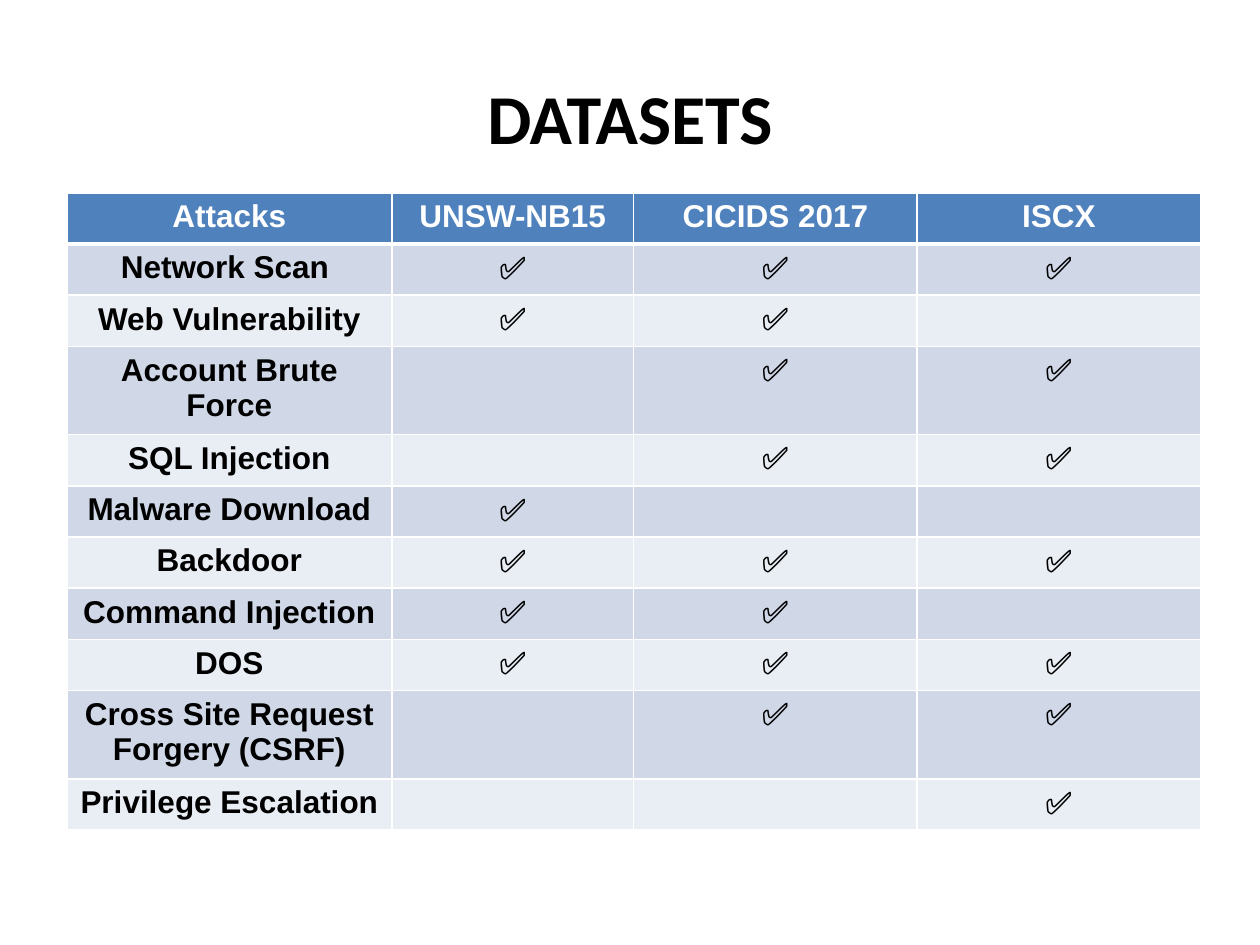
from lxml import etree
from pptx import Presentation
from pptx.dml.color import RGBColor
from pptx.enum.text import MSO_ANCHOR, PP_ALIGN
from pptx.oxml.ns import qn
from pptx.util import Inches, Pt

CENTER = PP_ALIGN.CENTER
MIDDLE = MSO_ANCHOR.MIDDLE

COLORS = {
    "header": "4F81BD",
    "dark_band": "D0D8E8",
    "light_band": "E9EDF4",
    "white": "FFFFFF",
    "black": "000000",
}
CHECK = "✅"
COLUMN_WIDTHS = (2.58, 1.92, 2.25, 2.25)
HEADERS = ("Attacks", "UNSW-NB15", "CICIDS 2017", "ISCX")
ATTACKS = (
    ("Network Scan ", (1, 1, 1)),
    ("Web Vulnerability", (1, 1, 0)),
    ("Account Brute Force", (0, 1, 1)),
    ("SQL Injection", (0, 1, 1)),
    ("Malware Download", (1, 0, 0)),
    ("Backdoor", (1, 1, 1)),
    ("Command Injection", (1, 1, 0)),
    ("DOS", (1, 1, 1)),
    ("Cross Site Request Forgery (CSRF)", (0, 1, 1)),
    ("Privilege Escalation", (0, 0, 1)),
)


def rgb(name):
    return RGBColor.from_string(COLORS[name])


def write_text(text_frame, text, size, font, color):
    text_frame.text = text
    para = text_frame.paragraphs[0]
    para.alignment = CENTER
    para.font.size = Pt(size)
    for span in para.runs:
        span.font.name = font
        span.font.size = Pt(size)
        span.font.bold = True
        span.font.color.rgb = rgb(color)


def add_title(page, text):
    box = page.shapes.add_textbox(Inches(0.5), Inches(0.3), Inches(9), Inches(1.25))
    box.text_frame.word_wrap = True
    box.text_frame.vertical_anchor = MIDDLE
    write_text(box.text_frame, text, 40, "Calibri", "black")


def add_borders(cell, top, bottom):
    properties = cell._tc.get_or_add_tcPr()
    for side, width in (("L", 1), ("R", 1), ("T", top), ("B", bottom)):
        line = etree.SubElement(properties, qn(f"a:ln{side}"), w=str(Pt(width)))
        fill = etree.SubElement(line, qn("a:solidFill"))
        etree.SubElement(fill, qn("a:srgbClr"), val=COLORS["white"])


def style_cell(cell, row):
    add_borders(cell, 3 if row == 1 else 1, 3 if row == 0 else 1)
    band = "dark_band" if row % 2 else "light_band"
    cell.fill.solid()
    cell.fill.fore_color.rgb = rgb("header" if row == 0 else band)


def add_dataset_table(page):
    rows = [HEADERS]
    for attack, covered in ATTACKS:
        rows.append((attack, *(CHECK if found else "" for found in covered)))
    table = page.shapes.add_table(
        len(rows), len(HEADERS), Inches(0.53), Inches(1.53), Inches(9), Inches(4.47)
    ).table
    for column, width in zip(table.columns, COLUMN_WIDTHS):
        column.width = Inches(width)
    for row, texts in enumerate(rows):
        for column, text in enumerate(texts):
            cell = table.cell(row, column)
            style_cell(cell, row)
            font = "Karla" if text == CHECK else "Arial"
            color = "black" if row else "white"
            write_text(cell.text_frame, text, 18, font, color)


def main():
    deck = Presentation()
    deck.slide_width = Inches(10)
    deck.slide_height = Inches(7.5)
    page = deck.slides.add_slide(deck.slide_layouts[6])
    add_title(page, "DATASETS")
    add_dataset_table(page)
    deck.save("out.pptx")


if __name__ == "__main__":
    main()
